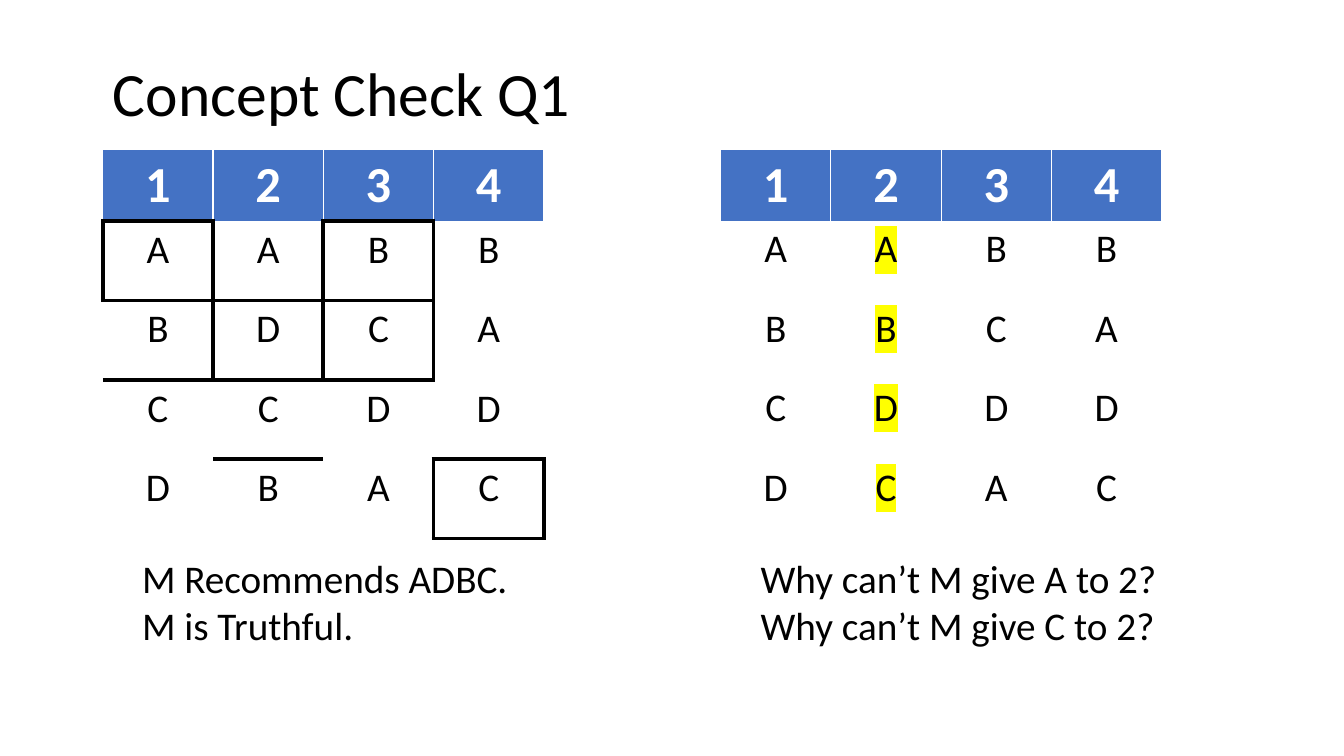
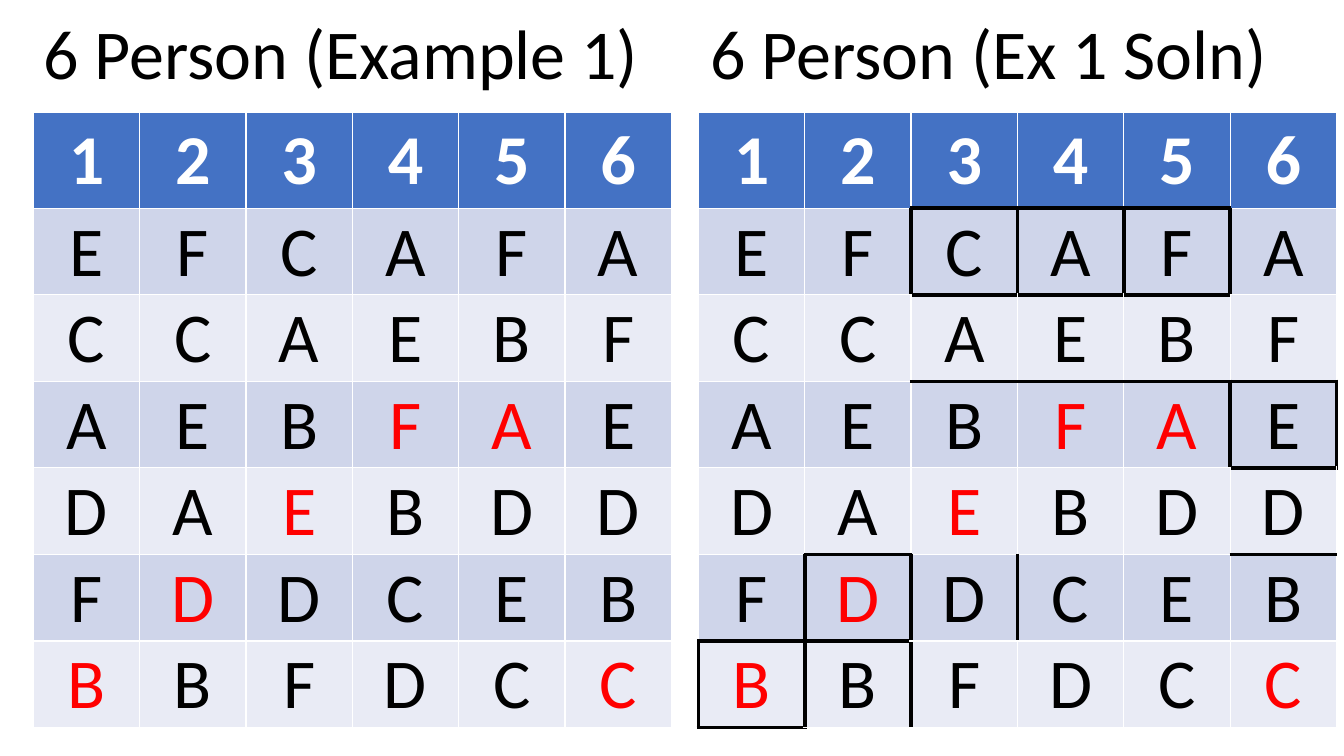
from collections import defaultdict
from lxml.etree import SubElement as Sub, Element as Elem
from pptx import Presentation as Deck
from pptx.dml.color import RGBColor as RGB
from pptx.enum.text import MSO_ANCHOR as Anchor, MSO_AUTO_SIZE as Fit, PP_ALIGN as Align
from pptx.oxml.ns import qn
from pptx.util import Cm, Pt

HUES = {
    "ink": "000000", "paper": "FFFFFF", "head": "4472C4", "odd": "CFD5EA",
    "even": "E9EBF5", "red": "FF0000", "mark": "FFFF00",
}
FONT = "Calibri"
PLAIN = "{2D5ABB26-0587-4C30-8999-92F81FD0307C}"  # table style without grid
SIDES = "LRTB"
NEAR = {"L": (0, -1, "R"), "R": (0, 1, "L"), "T": (-1, 0, "B"), "B": (1, 0, "T")}


def rgb(hue):
    return RGB.from_string(HUES[hue])


class Board:
    """Holds the deck, its style and the current slide."""

    def __init__(self):
        self.deck = Deck()
        self.deck.slide_width, self.deck.slide_height = Cm(33.87), Cm(19.05)
        self.slide = None

    def page(self):
        self.slide = self.deck.slides.add_slide(self.deck.slide_layouts[5])

    def label(self, frame, text, size, hue="ink", bold=False, align=Align.LEFT, space=None):
        frame.text = text
        for para in frame.paragraphs:
            para.alignment = align
            para.line_spacing = space
            for run in para.runs:
                font = run.font
                font.name, font.size, font.bold = FONT, Pt(size), bold
                font.color.rgb = rgb(hue)

    def box(self, spot):
        return self.slide.shapes.add_textbox(*map(Cm, spot))

    def title(self, text, spot, size, first=True):
        """Fill the title placeholder, or a text box for a second heading."""
        if first:
            shape = self.slide.shapes.title
            shape.left, shape.top, shape.width, shape.height = map(Cm, spot)
        else:
            shape = self.box(spot)
        frame = shape.text_frame
        frame.word_wrap, frame.auto_size = True, Fit.NONE
        frame.vertical_anchor = Anchor.MIDDLE
        self.label(frame, text, size, space=0.9)

    def note(self, text, spot):
        frame = self.box(spot).text_frame
        frame.word_wrap, frame.auto_size = True, Fit.SHAPE_TO_FIT_TEXT
        self.label(frame, text, 28)

    def grid(self, rows, spot, col, tall, sizes, band=False):
        """Add a table with a numbered header; tall and sizes are (header, body)."""
        wide, deep = len(rows[0]), len(rows) + 1
        full = tall[0] + tall[1] * len(rows)
        table = self.slide.shapes.add_table(
            deep, wide, *map(Cm, (*spot, col * wide, full))).table
        if not band:
            table._tbl.tblPr.find(qn("a:tableStyleId")).text = PLAIN
        for item in table.columns:
            item.width = Cm(col)
        for r, item in enumerate(table.rows):
            item.height = Cm(tall[r > 0])
            for c in range(wide):
                cell = table.cell(r, c)
                text = rows[r - 1][c] if r else str(c + 1)
                self.label(cell.text_frame, text, sizes[r > 0],
                           "ink" if r else "paper", not r, Align.CENTER)
                if r and not band:
                    cell.fill.background()
                    continue
                cell.fill.solid()
                cell.fill.fore_color.rgb = rgb(("odd" if r % 2 else "even") if r else "head")
                if r:
                    cell.vertical_anchor = Anchor.BOTTOM
                    cell.margin_left = cell.margin_right = cell.margin_top = Cm(0.02)
                    cell.margin_bottom = 0
        return table

    def tint(self, table, cells):
        for r, c in cells:
            table.cell(r, c).text_frame.paragraphs[0].runs[0].font.color.rgb = rgb("red")

    def mark(self, table, cells):
        for r, c in cells:
            run = table.cell(r, c).text_frame.paragraphs[0].runs[0]
            light = Elem(qn("a:highlight"))
            Sub(light, qn("a:srgbClr"), val=HUES["mark"])
            run._r.get_or_add_rPr().find(qn("a:solidFill")).addnext(light)

    def rule(self, table, boxes=(), lines=(), rims=False):
        """Frame the boxed cells, add single lines, and rim the header in white."""
        deep, wide = len(table.rows), len(table.columns)
        edges = defaultdict(dict)
        if rims:
            for c in range(wide):
                edges[0, c] = {side: ("paper", 1) for side in "LRT"}
        for r, c in boxes:
            for side, (down, over, back) in NEAR.items():
                edges[r, c][side] = ("ink", 3)
                if r + down < deep and 0 <= c + over < wide:
                    edges[r + down, c + over][back] = ("ink", 3)
        for r, c, side in lines:
            edges[r, c][side] = ("ink", 3)
        for (r, c), found in edges.items():
            props = table.cell(r, c)._tc.get_or_add_tcPr()
            for n, side in enumerate(sorted(found, key=SIDES.index)):
                hue, width = found[side]
                line = Elem(qn(f"a:ln{side}"), w=str(Pt(width)))
                Sub(Sub(line, qn("a:solidFill")), qn("a:srgbClr"), val=HUES[hue])
                props.insert(n, line)


def check(board):
    """Two four-person tables with a question below."""
    board.page()
    board.title("Concept Check Q1", (2.59, 0.6, 29.21, 3.68), 44)
    shape = {"col": 2.78, "tall": (1.8, 2), "sizes": (36, 28)}
    left = board.grid(["AABB", "BDCA", "CCDD", "DBAC"], (2.59, 3.76), **shape)
    board.rule(left, boxes=[(1, 0), (1, 2), (2, 1), (4, 3)], rims=True)
    board.note("M Recommends ADBC.\nM is Truthful.", (3.33, 13.84, 10.36, 2.64))
    right = board.grid(["AABB", "BBCA", "CDDD", "DCAC"], (18.16, 3.76), **shape)
    board.rule(right, rims=True)
    board.mark(right, [(r, 1) for r in range(1, 5)])
    board.note("Why can’t M give A to 2?\nWhy can’t M give C to 2?",
               (18.92, 13.84, 12.88, 2.64))


def six(board):
    """The same six-person table, without and with the solution."""
    board.page()
    rows = ["EFCAFA", "CCAEBF", "AEBFAE", "DAEBDD", "FDDCEB", "BBFDCC"]
    reds = [(3, 3), (3, 4), (4, 2), (5, 1), (6, 0), (6, 5)]
    heads = [("6 Person (Example 1)", 0.84, 0.84), ("6 Person (Ex 1 Soln)", 17.65, 17.6)]
    for n, (text, x, left) in enumerate(heads):
        board.title(text, (x, -0.41, 16.08, 3.68), 50, first=n == 0)
        table = board.grid(rows, (left, 2.84), 2.68, (2.41, 2.18), (50, 50), band=True)
        board.tint(table, reds)
    # Solution boxes and lines on the right table
    board.rule(table, boxes=[(1, 2), (1, 3), (1, 4), (3, 5), (5, 1), (6, 0)],
               lines=[(2, 2, "B"), (2, 3, "B"), (2, 4, "B"), (4, 5, "B"),
                      (5, 2, "R"), (6, 1, "R")])


def main():
    board = Board()
    check(board)
    six(board)
    board.deck.save("out.pptx")


if __name__ == "__main__":
    main()
